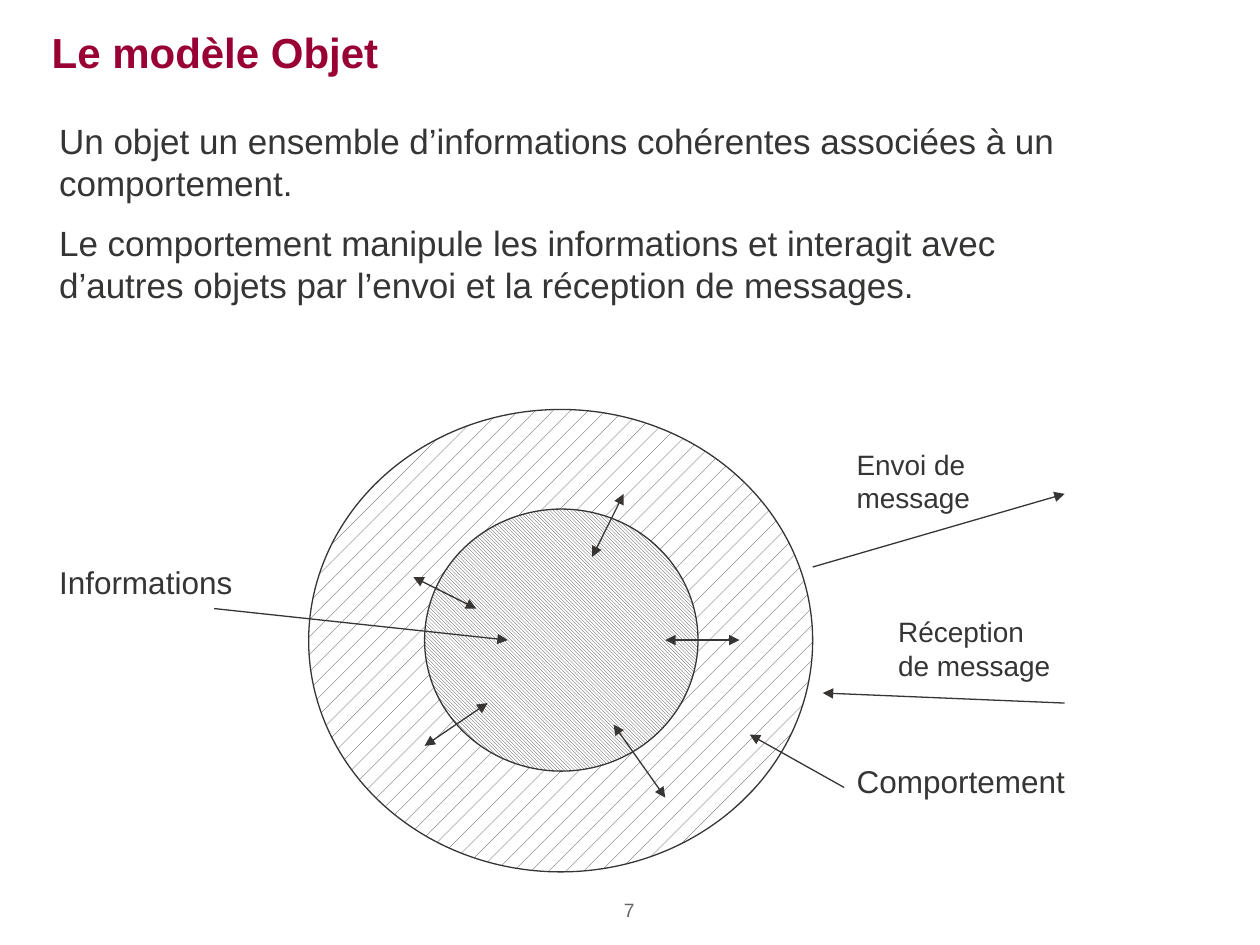
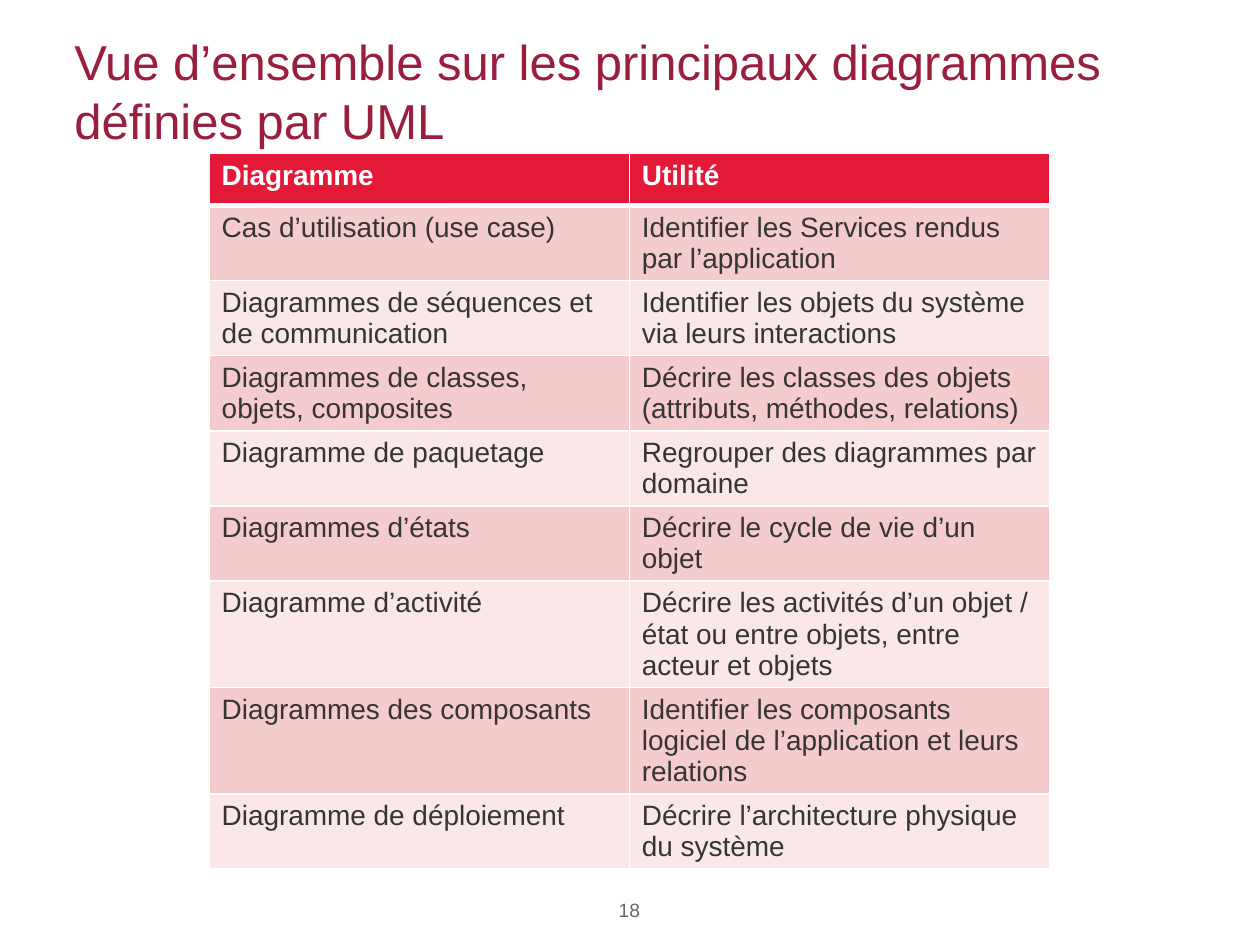
from pptx import Presentation, util as u
from pptx.dml.color import RGBColor
from pptx.enum import dml, shapes, text
from pptx.oxml.xmlchemy import OxmlElement

FONT = "Arial"
INK, WHITE = "363534", "FFFFFF"
CELL_LINE = u.Pt(17.85)
TITLE_BOLD = {"size": 24, "color": "990033", "bold": True}
TITLE_PLAIN = {"size": 28, "color": "991F3D", "bold": False}
BODY = {"size": 20, "color": INK}
LARGE_LABEL = {"size": 18, "color": INK}
SMALL_LABEL = {"size": 16, "color": INK}
PAGE_NUMBER = {"size": 11, "color": "666666"}
HEADER_CELL = {"size": 16, "color": WHITE, "bold": True}
BODY_CELL = {"size": 16, "color": INK, "bold": False}
HEADER_FILL, BAND_FILLS = "E31937", ("F4CCCE", "FAE8E8")

DEFINITION = [
    "Un objet un ensemble d’informations cohérentes associées à un comportement.",
    "Le comportement manipule les informations et interagit avec d’autres objets "
    "par l’envoi et la réception de messages.",
]
LABELS = [
    ("Comportement", (6.33, 2.75, 1.92, 0.4), LARGE_LABEL),
    ("Informations", (0, 1.17, 1.75, 0.4), LARGE_LABEL),
    ("Envoi de message", (6.33, 0.25, 1.75, 0.64), SMALL_LABEL),
    ("Réception de message", (6.66, 1.58, 1.42, 0.64), SMALL_LABEL),
]
RINGS = [
    ((2.08, 0, 4, 3.67), dml.MSO_PATTERN.PERCENT_5),
    ((3, 0.79, 2.17, 2.08), dml.MSO_PATTERN.LIGHT_DOWNWARD_DIAGONAL),
]
POINTERS = [
    ((6.33, 3), (5.58, 2.58)),
    ((1.33, 1.58), (3.66, 1.83)),
    ((6.08, 1.25), (8.08, 0.67)),
    ((8.08, 2.33), (6.16, 2.25)),
]
EXCHANGES = [
    ((4.5, 2.5), (4.91, 3.08)),
    ((4.58, 0.67), (4.33, 1.17)),
    ((5.5, 1.83), (4.91, 1.83)),
    ((3.41, 1.58), (2.91, 1.33)),
    ((3.5, 2.33), (3, 2.67)),
]
DIAGRAMS = [
    ("Diagramme", "Utilité"),
    ("Cas d’utilisation (use case)", "Identifier les Services rendus par l’application"),
    ("Diagrammes de séquences et de communication",
     "Identifier les objets du système via leurs interactions"),
    ("Diagrammes de classes, objets, composites",
     "Décrire les classes des objets (attributs, méthodes, relations)"),
    ("Diagramme de paquetage", "Regrouper des diagrammes par domaine"),
    ("Diagrammes d’états", "Décrire le cycle de vie d’un objet"),
    ("Diagramme d’activité",
     "Décrire les activités d’un objet / état ou entre objets, entre acteur et objets"),
    ("Diagrammes des composants",
     "Identifier les composants logiciel de l’application et leurs relations"),
    ("Diagramme de déploiement", "Décrire l’architecture physique du système"),
]


def rgb(value):
    """Turn a hex string into a colour."""
    return RGBColor.from_string(value)


def inches(values):
    """Turn numbers into a list of lengths."""
    return [u.Inches(value) for value in values]


def shifted(box, part):
    """Move a part's point or box by the corner of its region."""
    return (box[0] + part[0], box[1] + part[1], *part[2:])


def write(frame, paragraphs, style, **settings):
    """Fill a text frame with paragraphs in one style."""
    paragraph_format = {"alignment": text.PP_ALIGN.LEFT, **settings}
    font_format = {"name": FONT, **style, "size": u.Pt(style["size"])}
    color = font_format.pop("color")
    frame.text = "\n".join(paragraphs)
    for index, paragraph in enumerate(frame.paragraphs):
        for name, value in paragraph_format.items():
            setattr(paragraph, name, value)
        if index:
            paragraph.space_before = u.Pt(style["size"] / 2)
        for name, value in font_format.items():
            setattr(paragraph.runs[0].font, name, value)
        paragraph.runs[0].font.color.rgb = rgb(color)


def add_text(slide, box, paragraphs, style):
    """Add a wrapping text box."""
    frame = slide.shapes.add_textbox(*inches(box)).text_frame
    frame.word_wrap = True
    write(frame, paragraphs, style)


def add_page_number(slide, number):
    """Add the centred number at the foot of a slide."""
    frame = slide.shapes.add_textbox(*inches((4.57, 7.13, 0.85, 0.26))).text_frame
    for side in ("left", "top", "right", "bottom"):
        setattr(frame, f"margin_{side}", 0)
    frame.word_wrap = True
    write(frame, [number], PAGE_NUMBER, alignment=text.PP_ALIGN.CENTER)


def add_titled_slide(presentation, title, box, style, number):
    """Add a slide with its title and page number."""
    slide = presentation.slides.add_slide(presentation.slide_layouts[5])
    shape = slide.shapes.title
    for name, value in zip(("left", "top", "width", "height"), inches(box)):
        setattr(shape, name, value)
    frame = shape.text_frame
    frame.auto_size = text.MSO_AUTO_SIZE.NONE
    frame.vertical_anchor = text.MSO_ANCHOR.TOP
    write(frame, [title], style)
    add_page_number(slide, number)
    return slide


def add_ring(slide, box, pattern):
    """Add a hatched ellipse."""
    ring = slide.shapes.add_shape(shapes.MSO_SHAPE.OVAL, *inches(box))
    ring.shadow.inherit = False
    ring.fill.patterned()
    ring.fill.pattern = pattern
    ring.fill.fore_color.rgb = rgb(INK)
    ring.fill.back_color.rgb = rgb(WHITE)
    ring.line.color.rgb = rgb(INK)
    ring.line.width = u.Pt(0.75)


def add_arrow(slide, start, end, heads):
    """Add a thin line with triangles at the named ends."""
    arrow = slide.shapes.add_connector(
        shapes.MSO_CONNECTOR.STRAIGHT, *inches((*start, *end)))
    arrow.line.color.rgb = rgb(INK)
    arrow.line.width = u.Pt(0.75)
    for head in heads:
        element = OxmlElement(f"a:{head}")
        element.set("type", "triangle")
        arrow.line._get_or_add_ln().append(element)
    arrow._element.spPr.append(OxmlElement("a:effectLst"))


def add_object_diagram(slide, box):
    """Draw the object's rings, their labels and the messages."""
    for part, pattern in RINGS:
        add_ring(slide, shifted(box, part), pattern)
    for arrows, heads in ((POINTERS, ["tailEnd"]), (EXCHANGES, ["headEnd", "tailEnd"])):
        for start, end in arrows:
            add_arrow(slide, shifted(box, start), shifted(box, end), heads)
    for label, part, style in LABELS:
        add_text(slide, shifted(box, part), [label], style)


def add_borders(cell, widths):
    """Give a cell white borders of the given widths."""
    properties = cell._tc.get_or_add_tcPr()
    for side, width in widths.items():
        line = OxmlElement(f"a:ln{side}")
        line.set("w", str(u.Pt(width)))
        fill = OxmlElement("a:solidFill")
        color = OxmlElement("a:srgbClr")
        color.set("val", WHITE)
        fill.append(color)
        line.append(fill)
        properties.append(line)


def add_diagram_table(slide, box):
    """Add the banded table of diagrams and their uses."""
    table = slide.shapes.add_table(len(DIAGRAMS), 2, *inches(box)).table
    for row_index, row in enumerate(DIAGRAMS):
        is_header = row_index == 0
        fill = HEADER_FILL if is_header else BAND_FILLS[(row_index - 1) % 2]
        style = HEADER_CELL if is_header else BODY_CELL
        widths = {"L": 1, "R": 1, "T": 3 if row_index == 1 else 1, "B": 3 if is_header else 1}
        for column_index, content in enumerate(row):
            cell = table.cell(row_index, column_index)
            add_borders(cell, widths)
            cell.fill.solid()
            cell.fill.fore_color.rgb = rgb(fill)
            write(cell.text_frame, [content], style, line_spacing=CELL_LINE)


def build_object_slide(presentation):
    """Build the slide on the object model."""
    slide = add_titled_slide(
        presentation, "Le modèle Objet", (0.31, 0.16, 7.92, 0.83), TITLE_BOLD, "7")
    add_text(slide, (0.37, 0.9, 8.42, 1.62), DEFINITION, BODY)
    add_object_diagram(slide, (0.37, 3.25))


def build_overview_slide(presentation):
    """Build the slide listing the UML diagrams."""
    slide = add_titled_slide(
        presentation, "Vue d’ensemble sur les principaux diagrammes définies par UML",
        (0.49, 0.2, 9.01, 1.01), TITLE_PLAIN, "18")
    add_diagram_table(slide, (1.66, 1.22, 6.67, 0.41 * len(DIAGRAMS)))


def main():
    """Build and save the presentation."""
    presentation = Presentation()
    presentation.slide_width, presentation.slide_height = inches((10, 7.5))
    build_object_slide(presentation)
    build_overview_slide(presentation)
    presentation.save("out.pptx")


if __name__ == "__main__":
    main()
